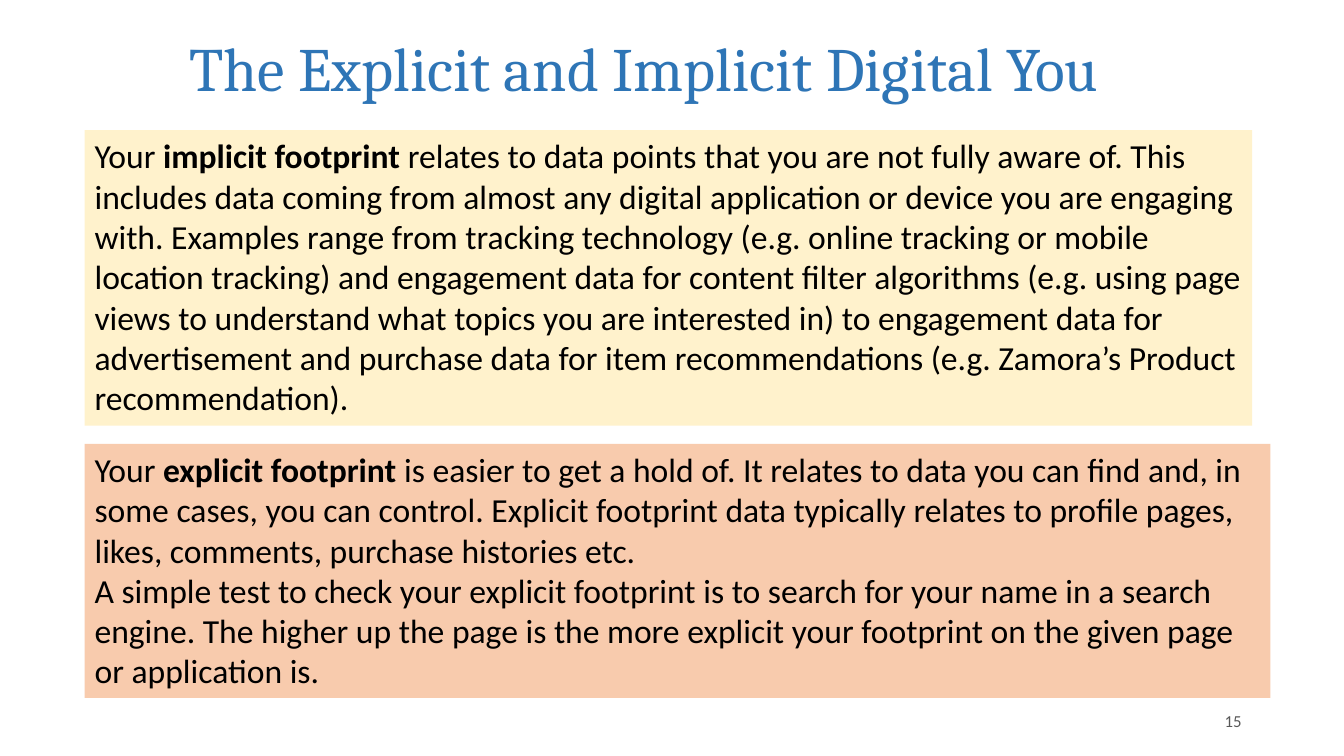
import pptx
import pptx.util
import pptx.dml.color
import pptx.enum.text
from dataclasses import dataclass

Pt = pptx.util.Pt
ANCHOR = pptx.enum.text.MSO_ANCHOR
ALIGN = pptx.enum.text.PP_ALIGN

# Content: each panel is a list of paragraphs, each paragraph a list of (text, bold)
TITLE = "The Explicit and Implicit Digital You"
PAGE_NUMBER = "15"
IMPLICIT = [
    [("Your ", False), ("implicit footprint ", True),
     ("relates to data points that you are not fully aware of. This includes data "
      "coming from almost any digital application or device you are engaging with. "
      "Examples range from tracking technology (e.g. online tracking or mobile "
      "location tracking) and engagement data for content filter algorithms (e.g. "
      "using page views to understand what topics you are interested in) to "
      "engagement data for advertisement and purchase data for item "
      "recommendations (e.g. Zamora’s Product recommendation).", False)],
]
EXPLICIT = [
    [("Your ", False), ("explicit footprint ", True),
     ("is easier to get a hold of. It relates to data you can find and, in some "
      "cases, you can control. Explicit footprint data typically relates to profile "
      "pages, likes, comments, purchase histories etc.", False)],
    [("A simple test to check your explicit footprint is to search for your name in "
      "a search engine. The higher up the page is the more explicit your footprint "
      "on the given page or application is.", False)],
]


@dataclass(frozen=True)
class Theme:
    heading_font: str = "Cambria"
    body_font: str = "Calibri"
    title_size: int = 44
    body_size: int = 24
    number_size: int = 12
    title: str = "2E75B6"
    text: str = "000000"
    muted: str = "595959"
    implicit: str = "FFF2CC"
    explicit: str = "F8CBAD"


theme = Theme()

# Layout in points
SLIDE_W, SLIDE_H = 960, 540
PANEL_LEFT, PANEL_TOP, PANEL_GAP = 60.5, 93, 13
PANELS = [  # paragraphs, fill, width, height
    (IMPLICIT, theme.implicit, 834, 211),
    (EXPLICIT, theme.explicit, 847, 181.5),
]


def rgb(value):
    return pptx.dml.color.RGBColor.from_string(value)


def add_run(p, text, font, size, color, bold=False):
    r = p.add_run()
    r.text = text
    r.font.name = font
    r.font.size = Pt(size)
    r.font.color.rgb = rgb(color)
    r.font.bold = bold


def add_box(s, left, top, width, height):
    sp = s.shapes.add_textbox(Pt(left), Pt(top), Pt(width), Pt(height))
    sp.text_frame.word_wrap = True
    return sp


def add_panel(s, paragraphs, fill, top, width, height):
    sp = add_box(s, PANEL_LEFT, top, width, height)
    sp.fill.solid()
    sp.fill.fore_color.rgb = rgb(fill)
    tf = sp.text_frame
    tf.auto_size = pptx.enum.text.MSO_AUTO_SIZE.SHAPE_TO_FIT_TEXT
    for i, runs in enumerate(paragraphs):
        p = tf.add_paragraph() if i else tf.paragraphs[0]
        for text, bold in runs:
            add_run(p, text, theme.body_font, theme.body_size, theme.text, bold)


def main():
    prs = pptx.Presentation()
    prs.slide_width, prs.slide_height = Pt(SLIDE_W), Pt(SLIDE_H)
    s = prs.slides.add_slide(prs.slide_layouts[5])

    # Title
    title = s.shapes.title
    title.left, title.top, title.width, title.height = Pt(128), Pt(16), Pt(711), Pt(64)
    tf = title.text_frame
    tf.word_wrap = True
    tf.auto_size = pptx.enum.text.MSO_AUTO_SIZE.NONE
    tf.vertical_anchor = ANCHOR.MIDDLE
    p = tf.paragraphs[0]
    p.alignment = ALIGN.LEFT
    add_run(p, TITLE, theme.heading_font, theme.title_size, theme.title)

    # Footprint panels, stacked
    top = PANEL_TOP
    for paragraphs, fill, width, height in PANELS:
        add_panel(s, paragraphs, fill, top, width, height)
        top += height + PANEL_GAP

    # Page number
    tf = add_box(s, 636, 500.5, 258, 29).text_frame
    tf.vertical_anchor = ANCHOR.MIDDLE
    p = tf.paragraphs[0]
    p.alignment = ALIGN.RIGHT
    add_run(p, PAGE_NUMBER, theme.body_font, theme.number_size, theme.muted)

    prs.save("out.pptx")


if __name__ == "__main__":
    main()
